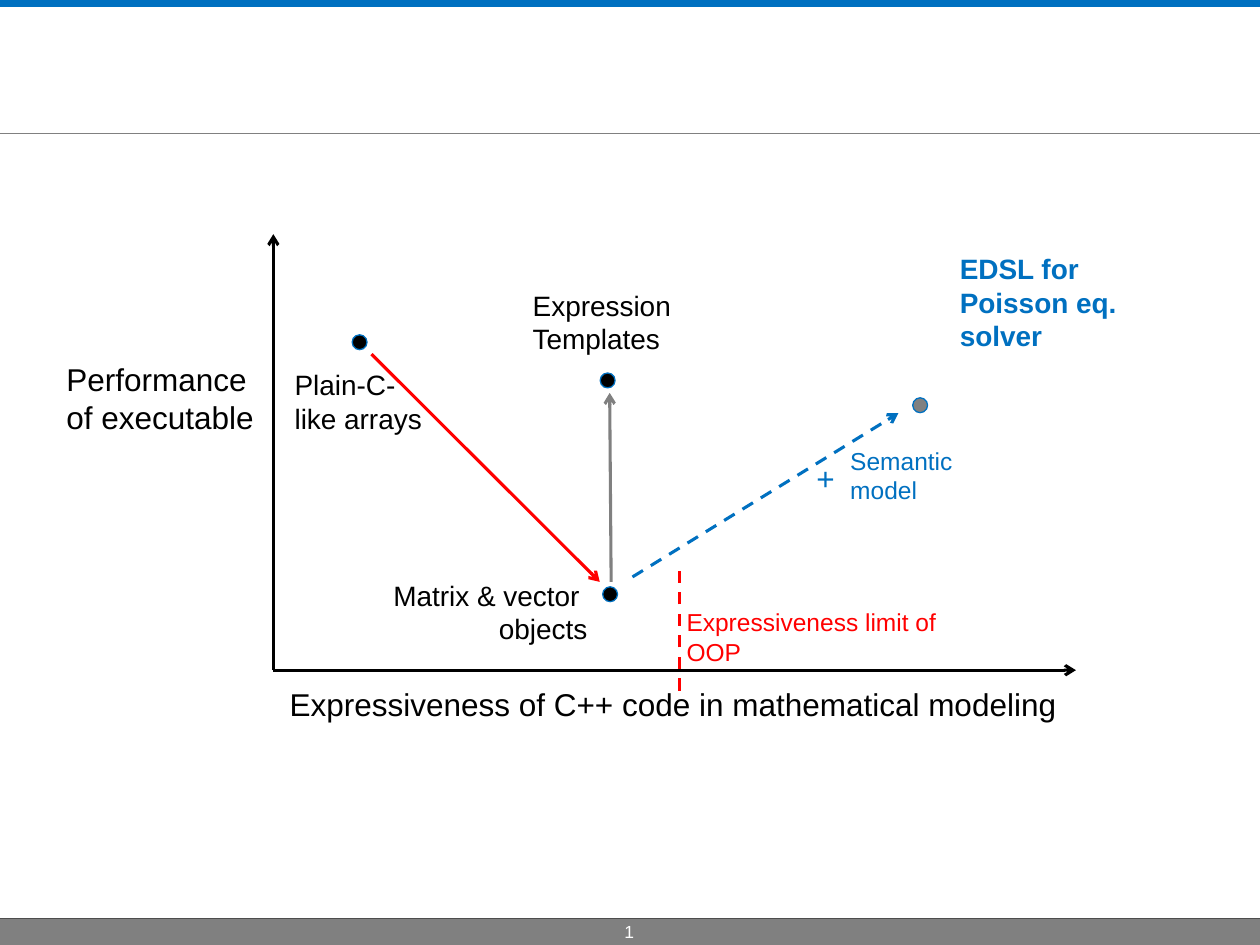
from lxml import etree
from pptx import Presentation
from pptx.dml.color import RGBColor
from pptx.enum import dml, shapes, text
from pptx.oxml.ns import qn
from pptx.util import Cm, Pt

BLACK = RGBColor(0x00, 0x00, 0x00)
WHITE = RGBColor(0xFF, 0xFF, 0xFF)
GRAY = RGBColor(0x80, 0x80, 0x80)
DARK = RGBColor(0x4D, 0x4D, 0x4D)
BLUE = RGBColor(0x00, 0x70, 0xC0)
RED = RGBColor(0xFF, 0x00, 0x00)
LEFT, CENTER, RIGHT = text.PP_ALIGN.LEFT, text.PP_ALIGN.CENTER, text.PP_ALIGN.RIGHT

prs = Presentation()
prs.slide_width, prs.slide_height = Cm(25.4), Cm(19.05)
s = prs.slides.add_slide(prs.slide_layouts[6])


def add_line(x1, y1, x2, y2, color, width=1.75, arrow=False, dash=False):
    c = s.shapes.add_connector(shapes.MSO_CONNECTOR.STRAIGHT, Cm(x1), Cm(y1), Cm(x2), Cm(y2))
    c.line.color.rgb = color
    c.line.width = Pt(width)
    if dash:
        c.line.dash_style = dml.MSO_LINE.DASH
    if arrow:
        etree.SubElement(c.line._get_or_add_ln(), qn("a:tailEnd"), type="arrow")
    etree.SubElement(c._element.spPr, qn("a:effectLst"))


def add_shape(kind, x, y, w, h, fill, line=None, width=0.75):
    sp = s.shapes.add_shape(kind, Cm(x), Cm(y), Cm(w), Cm(h))
    sp.shadow.inherit = False
    sp.fill.solid()
    sp.fill.fore_color.rgb = fill
    if line is None:
        sp.line.fill.background()
    else:
        sp.line.color.rgb = line
        sp.line.width = Pt(width)


# Page frame
RECT, OVAL = shapes.MSO_SHAPE.RECTANGLE, shapes.MSO_SHAPE.OVAL
add_shape(RECT, 0, 18.52, 25.4, 0.53, GRAY)
add_line(0, 18.52, 25.4, 18.52, DARK, 0.5)
add_shape(RECT, 0, 0.03, 25.4, 0.08, BLUE, BLUE, 2)
add_line(0, 2.69, 25.4, 2.69, GRAY, 0.5)

# Axes
X0, Y0 = 5.51, 13.51
add_line(X0, Y0, 21.69, Y0, BLACK, arrow=True)
add_line(X0, Y0, X0, 4.72, BLACK, arrow=True)

# Steps between approaches, and the limit of OOP
add_line(7.49, 7.14, 12.09, 11.73, RED, arrow=True)
add_line(12.32, 11.73, 12.29, 7.92, GRAY, arrow=True)
add_line(12.75, 11.63, 18.11, 8.33, BLUE, arrow=True, dash=True)
add_line(13.69, 13.92, 13.69, 11.33, RED, dash=True)

# Approaches
DOT = 0.3
for x, y, fill in [(7.1, 6.75, BLACK), (18.4, 8.02, GRAY),
                   (12.15, 11.83, BLACK), (12.1, 7.52, BLACK)]:
    add_shape(OVAL, x, y, DOT, DOT, fill, BLUE)

# Labels: left, top, width, height, paragraphs, size, colour, alignment, wrap, bold
labels = [
    (11.68, 18.44, 2.01, 1.07, ["1"], 10, WHITE, CENTER, True, False),
    (5.59, 13.69, 16.1, 1.02, ["Expressiveness of C++ code in mathematical modeling"],
     18, BLACK, LEFT, False, False),
    (1.09, 7.14, 4.83, 1.8, ["Performance of executable"], 18, BLACK, LEFT, True, False),
    (5.69, 7.29, 3.35, 1.63, ["Plain-C-like arrays"], 16, BLACK, LEFT, True, False),
    (6.5, 11.53, 5.59, 1.63, ["Matrix & vector ", "objects"], 16, BLACK, RIGHT, True, False),
    (10.49, 5.69, 4.22, 1.63, ["Expression Templates"], 16, BLACK, LEFT, True, False),
    (19.1, 4.95, 4.62, 2.31, ["EDSL for Poisson eq. solver"], 16, BLUE, LEFT, True, True),
    (16.89, 8.86, 3.4, 1.45, ["Semantic model"], 14, BLUE, LEFT, True, False),
    (16.21, 9.12, 0.89, 1.02, ["+"], 18, BLUE, LEFT, False, False),
    (13.59, 12.12, 5.89, 1.45, ["Expressiveness limit of OOP"], 14, RED, LEFT, True, False),
]
for x, y, w, h, lines, size, color, align, wrap, bold in labels:
    tf = s.shapes.add_textbox(Cm(x), Cm(y), Cm(w), Cm(h)).text_frame
    tf.word_wrap = wrap
    for i, line in enumerate(lines):
        p = tf.add_paragraph() if i else tf.paragraphs[0]
        p.alignment = align
        r = p.add_run()
        r.text = line
        r.font.name = "Arial"
        r.font.size = Pt(size)
        r.font.bold = bold
        r.font.color.rgb = color

prs.save("out.pptx")
